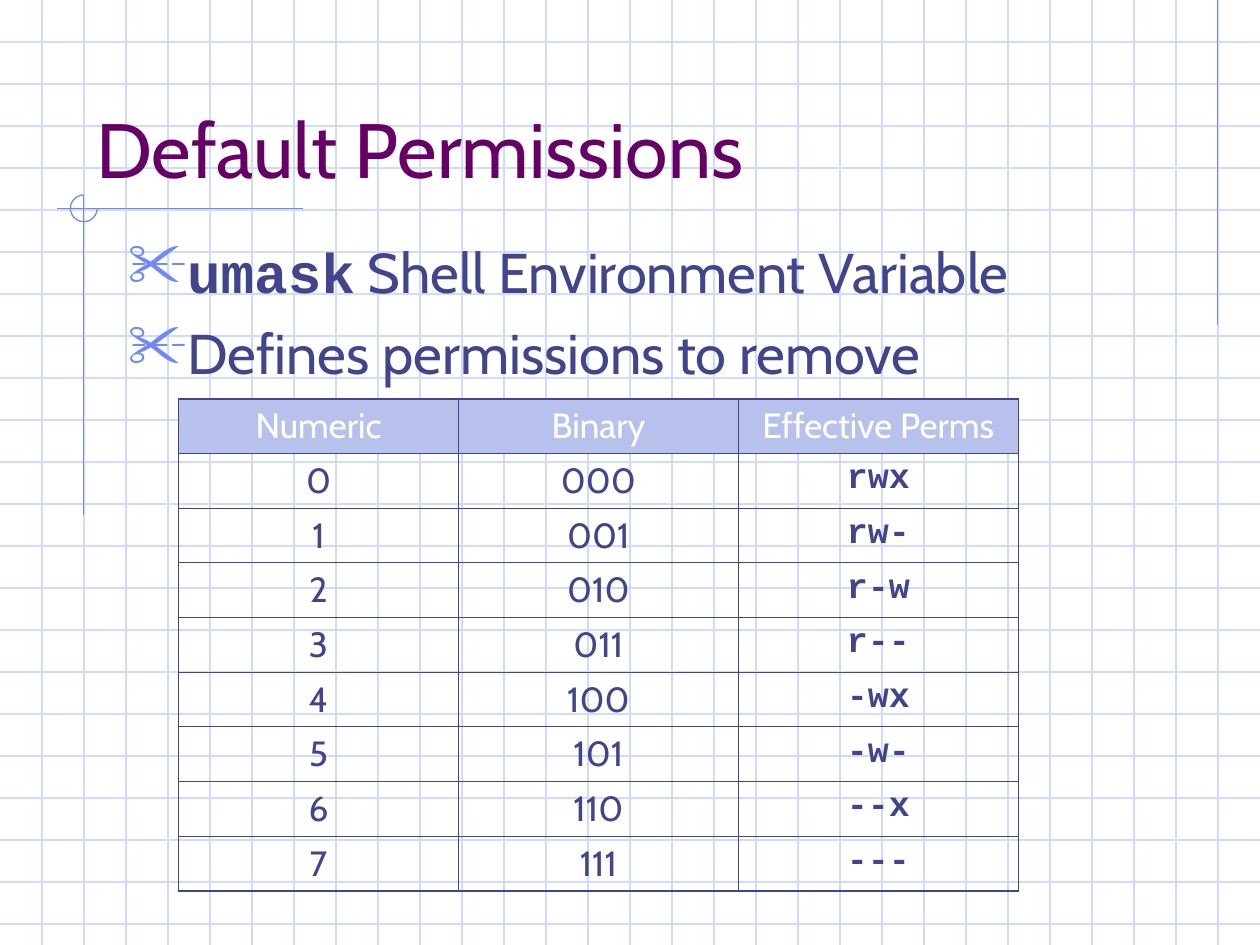
from dataclasses import dataclass

from lxml.etree import SubElement
from pptx import Presentation
from pptx.dml.color import RGBColor
from pptx.enum.shapes import MSO_CONNECTOR, MSO_SHAPE
from pptx.enum.text import MSO_ANCHOR, PP_ALIGN
from pptx.oxml import parse_xml
from pptx.oxml.ns import nsdecls, qn
from pptx.util import Cm, Pt


@dataclass(frozen=True)
class Theme:
    grid: str = "CFDBFD"
    accent: str = "6F89F7"
    title: str = "660066"
    ink: str = "40458C"
    header_fill: str = "B7C1EB"
    header_text: str = "FFFFFF"
    sans: str = "Cabin"
    mono: str = "Courier New"
    title_size: int = 44
    body_size: int = 32
    table_size: int = 20
    thin: float = 0.45
    thick: float = 1.08


theme = Theme()
WIDTH, HEIGHT = 25.4, 19.05
GRID_STEP = 2.54 / 3


def add_line(x1, y1, x2, y2, color):
    line = page.shapes.add_connector(
        MSO_CONNECTOR.STRAIGHT, Cm(x1), Cm(y1), Cm(x2), Cm(y2))
    line.line.color.rgb = RGBColor.from_string(color)
    line.line.width = Pt(0.75)
    SubElement(line._element.spPr, qn("a:effectLst"))


def style_font(font, size, color, name=None, bold=False):
    font.size = Pt(size)
    font.color.rgb = RGBColor.from_string(color)
    font.bold = bold
    if name:
        font.name = name


deck = Presentation()
deck.slide_width, deck.slide_height = Cm(WIDTH), Cm(HEIGHT)
page = deck.slides.add_slide(deck.slide_layouts[6])

for step in range(1, 23):
    add_line(0, step * GRID_STEP, WIDTH, step * GRID_STEP, theme.grid)
for step in range(1, 30):
    add_line(step * GRID_STEP, 0, step * GRID_STEP, HEIGHT, theme.grid)

add_line(24.55, 0, 24.55, 6.55, theme.accent)
add_line(6.1, 4.21, 1.14, 4.21, theme.accent)
add_line(1.69, 3.94, 1.69, 10.39, theme.accent)

arc = page.shapes.add_shape(MSO_SHAPE.ARC, Cm(1.42), Cm(3.93), Cm(0.54), Cm(0.54))
arc.adjustments[0] = 0
arc.adjustments[1] = 162
arc.shadow.inherit = False
arc.fill.background()
arc.line.color.rgb = RGBColor.from_string(theme.accent)
arc.line.width = Pt(0.75)

title_box = page.shapes.add_textbox(Cm(1.69), Cm(0.85), Cm(21.59), Cm(3.18))
title_box.text_frame.word_wrap = True
title_box.text_frame.vertical_anchor = MSO_ANCHOR.BOTTOM
para = title_box.text_frame.paragraphs[0]
para.text = "Default Permissions"
style_font(para.font, theme.title_size, theme.title, theme.sans)

body_box = page.shapes.add_textbox(Cm(2.33), Cm(4.66), Cm(21.59), Cm(4.23))
body_frame = body_box.text_frame
body_frame.word_wrap = True
body_frame.add_paragraph()
bullets = [
    [("umask", theme.mono, True), (" Shell Environment Variable", theme.sans, False)],
    [("Defines permissions to remove", theme.sans, False)],
]
for para, spans in zip(body_frame.paragraphs, bullets):
    para.space_before = Pt(8)
    props = para._p.get_or_add_pPr()
    props.set("marL", str(Cm(0.95)))
    props.set("indent", str(-Cm(0.95)))
    bullet_color = SubElement(props, qn("a:buClr"))
    SubElement(bullet_color, qn("a:srgbClr"), val=theme.accent)
    SubElement(props, qn("a:buSzPct"), val="110000")
    SubElement(props, qn("a:buChar"), char="✂")
    style_font(para.font, theme.body_size, theme.ink)
    for text, name, bold in spans:
        span = para.add_run()
        span.text = text
        span.font.name = name
        span.font.bold = bold

permissions = ["rwx", "rw-", "r-w", "r--", "-wx", "-w-", "--x", "---"]
rows = [("Numeric", "Binary", "Effective Perms")]
rows += [(str(n), f"{n:03b}", perms) for n, perms in enumerate(permissions)]
last_row, last_column = len(rows) - 1, len(rows[0]) - 1

table = page.shapes.add_table(
    len(rows), len(rows[0]), Cm(3.6), Cm(8.04), Cm(16.93), Cm(9.9)).table
table.first_row = False
table.horz_banding = False

for r, row in enumerate(rows):
    for c, text in enumerate(row):
        cell = table.cell(r, c)
        if r == 0:
            cell.fill.solid()
            cell.fill.fore_color.rgb = RGBColor.from_string(theme.header_fill)
        else:
            cell.fill.background()
        para = cell.text_frame.paragraphs[0]
        para.text = text
        para.alignment = PP_ALIGN.CENTER
        para.space_before = Pt(5)
        is_mono = r > 0 and c == last_column
        style_font(para.font, theme.table_size,
                   theme.ink if r else theme.header_text,
                   theme.mono if is_mono else theme.sans, is_mono)
        outer_edges = {"lnL": c == 0, "lnR": c == last_column,
                       "lnT": r == 0, "lnB": r == last_row}
        for place, (edge, is_outer) in enumerate(outer_edges.items()):
            width = Pt(theme.thick if is_outer else theme.thin)
            cell._tc.get_or_add_tcPr().insert(place, parse_xml(
                f'<a:{edge} {nsdecls("a")} w="{width}"><a:solidFill>'
                f'<a:srgbClr val="{theme.ink}"/></a:solidFill></a:{edge}>'))

deck.save("out.pptx")
